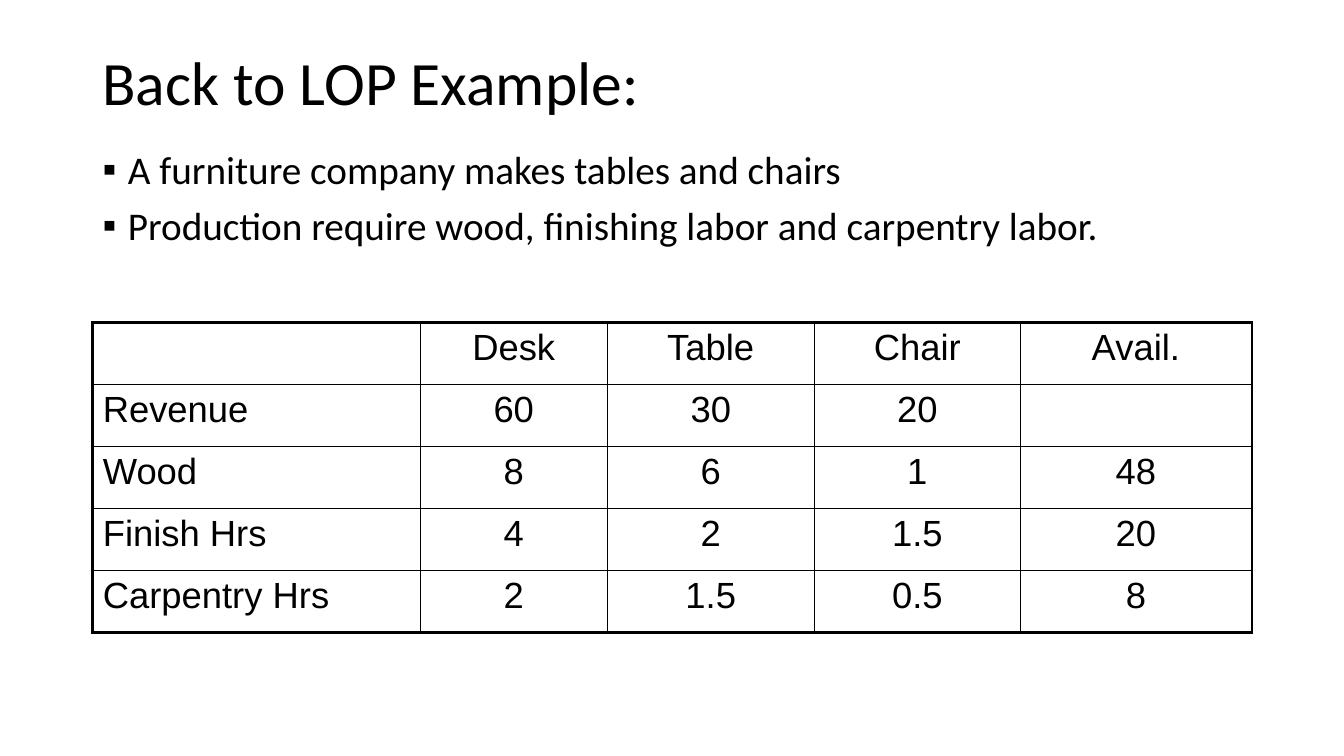
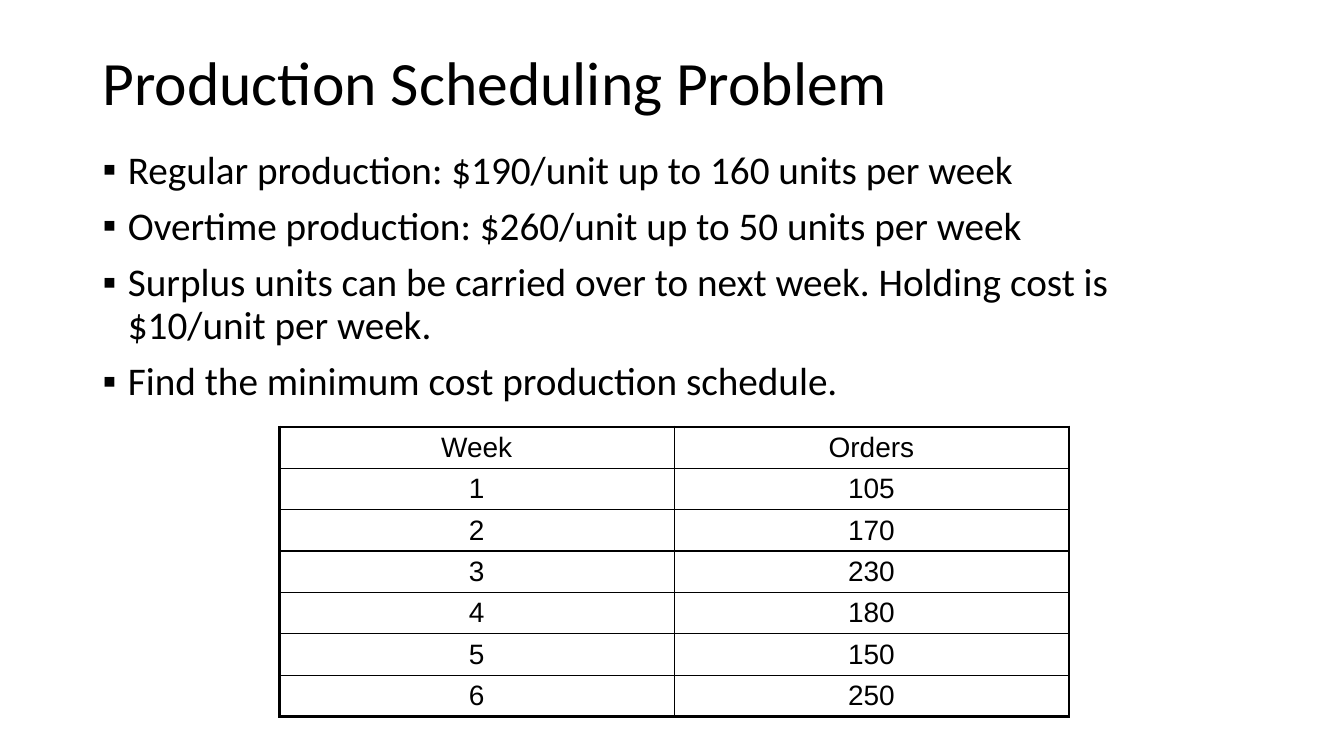
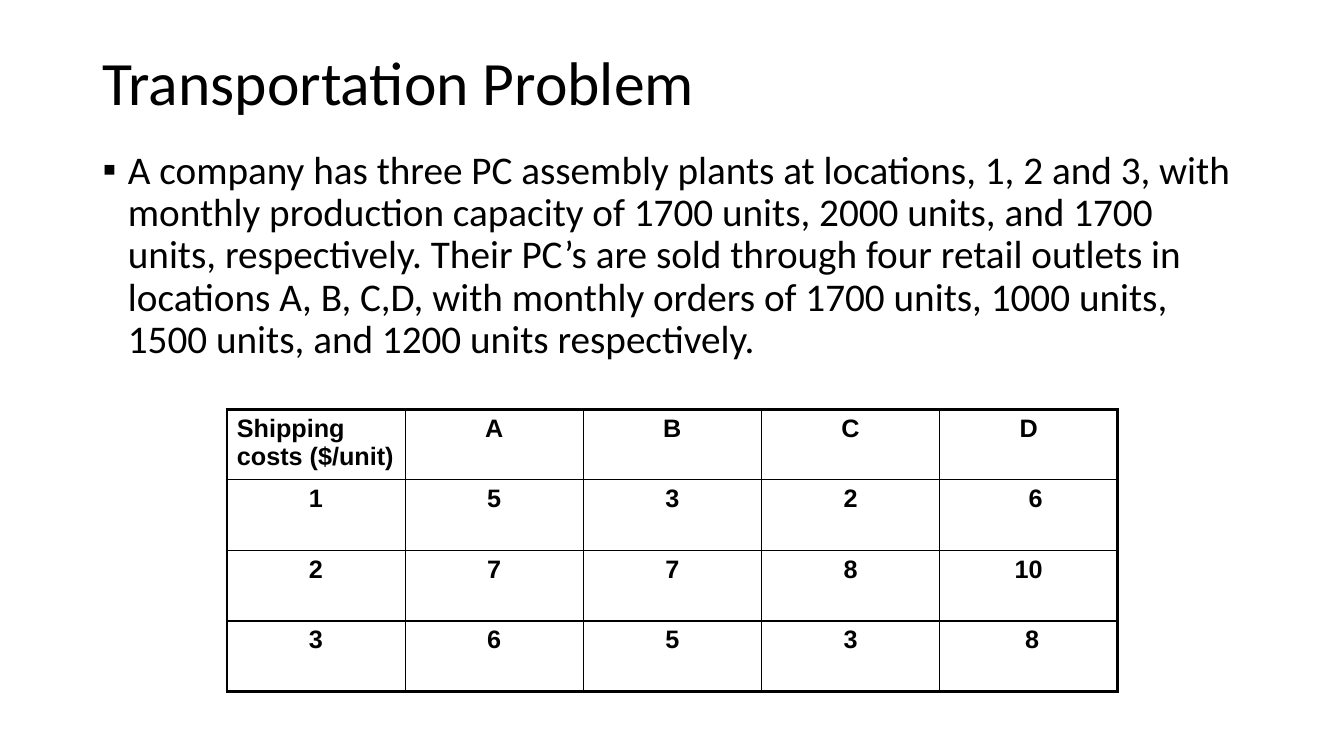
from dataclasses import dataclass

from lxml.etree import SubElement
from pptx import Presentation
from pptx.dml.color import RGBColor
from pptx.enum.text import MSO_ANCHOR, MSO_AUTO_SIZE, PP_ALIGN
from pptx.oxml.ns import qn
from pptx.util import Cm, Pt


@dataclass(frozen=True)
class Theme:
    ink: str = "000000"
    text_font: str = "Calibri"
    table_font: str = "Arial"
    title_size: int = 44
    body_size: int = 28
    line_spacing: float = 0.9
    space_before: int = 10
    bullet: str = "▪"
    bullet_indent: float = 0.64
    outer_line: float = 2.25
    inner_line: float = 1
    title_box: tuple = (2.33, 1.02, 29.21, 2.29)
    body_box: tuple = (2.33, 3.66, 29.21, 14.12)


THEME = Theme()

SLIDES = [
    {
        "title": "Back to LOP Example:",
        "bullets": [
            "A furniture company makes tables and chairs",
            "Production require wood, finishing labor and carpentry labor.",
        ],
        "table": {
            "at": (2.34, 8.13),
            "cols": [8.26, 4.7, 5.23, 5.18, 5.84],
            "row": 1.56,
            "size": 26,
            "bold": False,
            "label_rows": {1, 2, 3, 4},
            "nudges": {},
            "rows": [
                ["", "Desk", "Table", "Chair", "Avail."],
                ["Revenue", "60", "30", "20", ""],
                ["Wood", "8", "6", "1", "48"],
                ["Finish Hrs", "4", "2", "1.5", "20"],
                ["Carpentry Hrs", "2", "1.5", "0.5", "8"],
            ],
        },
    },
    {
        "title": "Production Scheduling Problem",
        "bullets": [
            "Regular production: $190/unit up to 160 units per week",
            "Overtime production: $260/unit up to 50 units per week",
            "Surplus units can be carried over to next week. "
            "Holding cost is $10/unit per week.",
            "Find the minimum cost production schedule.",
        ],
        "table": {
            "at": (7.04, 10.76),
            "cols": [9.95, 9.95],
            "row": 1.04,
            "size": 20,
            "bold": False,
            "label_rows": set(),
            "nudges": {},
            "rows": [
                ["Week", "Orders"],
                ["1", "105"],
                ["2", "170"],
                ["3", "230"],
                ["4", "180"],
                ["5", "150"],
                ["6", "250"],
            ],
        },
    },
    {
        "title": "Transportation Problem",
        "bullets": [
            "A company has three PC assembly plants at locations, 1, 2 and 3, "
            "with monthly production capacity of 1700 units, 2000 units, and "
            "1700 units, respectively. Their PC’s are sold through four retail "
            "outlets in locations A, B, C,D, with monthly orders of 1700 units, "
            "1000 units, 1500 units, and 1200 units respectively.",
        ],
        "table": {
            "at": (5.72, 10.31),
            "cols": [4.49] * 5,
            "row": 1.78,
            "size": 18,
            "bold": True,
            "label_rows": {0},
            "nudges": {(1, 4): 0.35, (3, 4): 0.18},
            "rows": [
                ["Shipping costs ($/unit)", "A", "B", "C", "D"],
                ["1", "5", "3", "2", "6"],
                ["2", "7", "7", "8", "10"],
                ["3", "6", "5", "3", "8"],
            ],
        },
    },
]


def add_run(p, text, font, size, bold=False):
    r = p.add_run()
    r.text = text
    r.font.name = font
    r.font.size = Pt(size)
    r.font.bold = bold
    r.font.color.rgb = RGBColor.from_string(THEME.ink)


def place(sp, box, anchor):
    sp.left, sp.top, sp.width, sp.height = map(Cm, box)
    tf = sp.text_frame
    tf.word_wrap = True
    tf.auto_size = MSO_AUTO_SIZE.NONE
    tf.vertical_anchor = anchor
    return tf


def text_paragraph(p, text, size):
    p.alignment = PP_ALIGN.LEFT
    p.line_spacing = THEME.line_spacing
    add_run(p, text, THEME.text_font, size)


def add_bullet(p):
    p.space_before = Pt(THEME.space_before)
    pPr = p._p.get_or_add_pPr()
    indent = Cm(THEME.bullet_indent)
    pPr.set("marL", str(indent))
    pPr.set("indent", str(-indent))
    SubElement(pPr, qn("a:buFont"), typeface=THEME.table_font)
    SubElement(pPr, qn("a:buChar"), char=THEME.bullet)


def set_borders(cell, outer):
    tcPr = cell._tc.get_or_add_tcPr()
    for side, is_outer in zip(("lnL", "lnR", "lnT", "lnB"), outer):
        width = THEME.outer_line if is_outer else THEME.inner_line
        ln = SubElement(tcPr, qn(f"a:{side}"), w=str(Pt(width)))
        fill = SubElement(ln, qn("a:solidFill"))
        SubElement(fill, qn("a:srgbClr"), val=THEME.ink)


def add_grid(s, spec):
    rows, cols = spec["rows"], spec["cols"]
    left, top = spec["at"]
    n_rows, n_cols = len(rows), len(cols)
    frame = s.shapes.add_table(n_rows, n_cols, Cm(left), Cm(top),
                               Cm(sum(cols)), Cm(spec["row"] * n_rows))
    table = frame.table
    table.first_row = table.horz_banding = False
    for column, width in zip(table.columns, cols):
        column.width = Cm(width)
    for i, row in enumerate(rows):
        table.rows[i].height = Cm(spec["row"])
        for j, text in enumerate(row):
            cell = table.cell(i, j)
            set_borders(cell, (j == 0, j == n_cols - 1, i == 0, i == n_rows - 1))
            cell.fill.background()
            cell.margin_left = Cm(0.25 + spec["nudges"].get((i, j), 0))
            if text:
                p = cell.text_frame.paragraphs[0]
                is_label = j == 0 and i in spec["label_rows"]
                p.alignment = PP_ALIGN.LEFT if is_label else PP_ALIGN.CENTER
                add_run(p, text, THEME.table_font, spec["size"], spec["bold"])


def add_slide(prs, content):
    s = prs.slides.add_slide(prs.slide_layouts[1])
    tf = place(s.shapes.title, THEME.title_box, MSO_ANCHOR.MIDDLE)
    text_paragraph(tf.paragraphs[0], content["title"], THEME.title_size)
    tf = place(s.placeholders[1], THEME.body_box, MSO_ANCHOR.TOP)
    for i, text in enumerate(content["bullets"]):
        p = tf.add_paragraph() if i else tf.paragraphs[0]
        text_paragraph(p, text, THEME.body_size)
        add_bullet(p)
    add_grid(s, content["table"])


def main():
    prs = Presentation()
    prs.slide_width, prs.slide_height = Cm(33.87), Cm(19.05)
    for content in SLIDES:
        add_slide(prs, content)
    prs.save("out.pptx")


if __name__ == "__main__":
    main()
